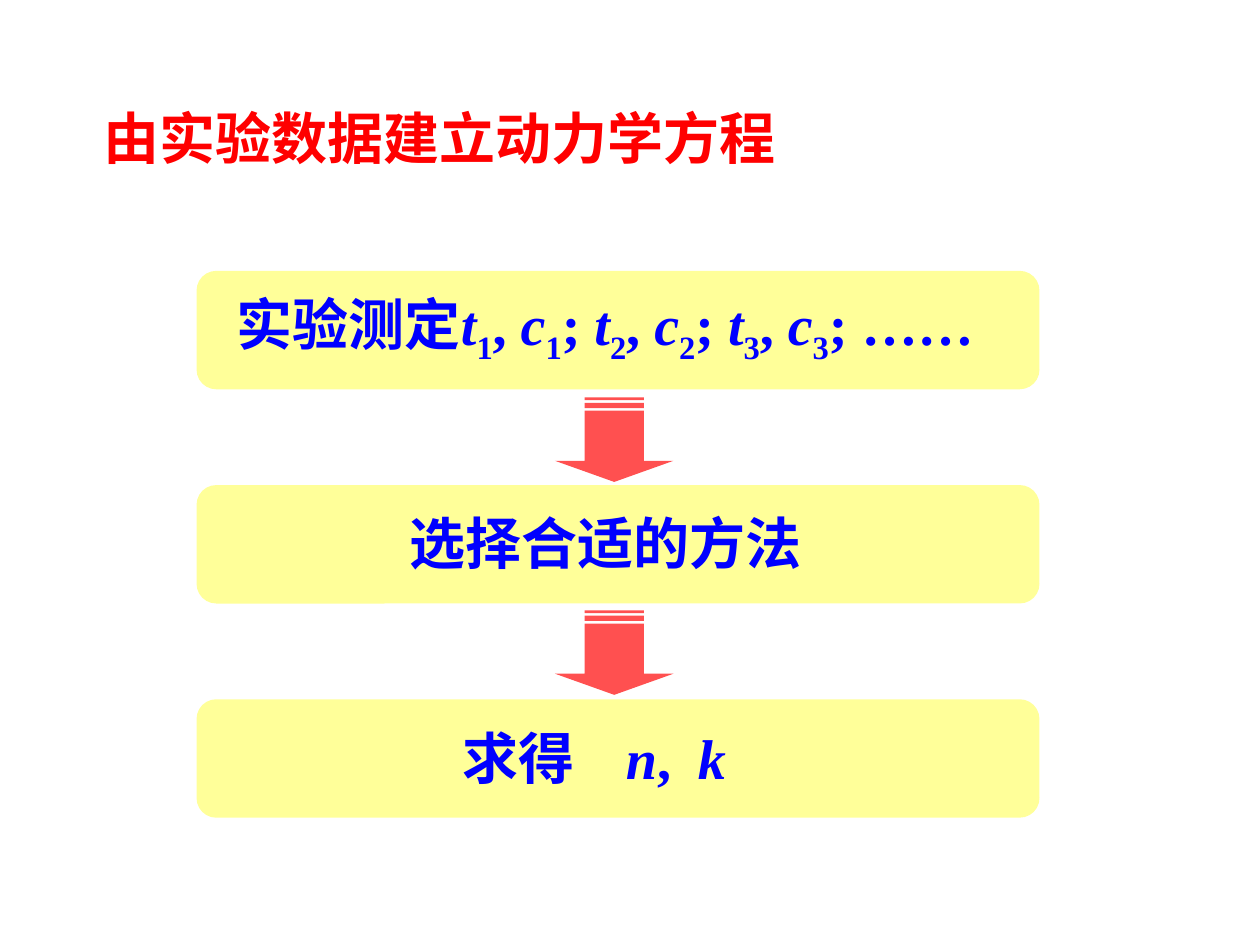
"""Build a three-step flow slide on deriving a kinetic equation from data."""
from lxml import etree
from pptx import Presentation
from pptx.dml.color import RGBColor
from pptx.enum.shapes import MSO_SHAPE
from pptx.enum.text import MSO_ANCHOR, MSO_AUTO_SIZE, PP_ALIGN
from pptx.oxml.ns import qn
from pptx.util import Inches, Pt

ROUNDED = MSO_SHAPE.ROUNDED_RECTANGLE
ARROW = MSO_SHAPE.STRIPED_RIGHT_ARROW
MIDDLE = MSO_ANCHOR.MIDDLE
GROW = MSO_AUTO_SIZE.SHAPE_TO_FIT_TEXT
JUSTIFY = PP_ALIGN.JUSTIFY

COLORS = {"title": "FF0000", "text": "0000FF", "step": "FFFF99", "arrow": "FF5050"}
LATIN, CHINESE = "Times New Roman", "Noto Sans CJK SC"

TITLE = "由实验数据建立动力学方程"
MEASURED = [("实验测定", "chinese")]
for index in "123":
    MEASURED += [("t", "italic"), (index, "sub"), (", ", "plain"),
                 ("c", "italic"), (index, "sub"), ("; ", "plain")]
MEASURED.append(("……", "plain"))

STEPS = [
    {"left": 1.78, "width": 6.42, "wrap": True, "tabs": [], "spans": MEASURED},
    {"left": 3.15, "width": 3.34, "wrap": False, "tabs": [],
     "spans": [("选择合适的方法", "chinese")]},
    {"left": 3.57, "width": 3.06, "wrap": True, "tabs": [1.3, 1.87],
     "spans": [("求得\t", "chinese"), ("n", "italic"), (",\t", "plain"), ("k", "italic")]},
]

STEP_LEFT, STEP_TOP, STEP_WIDTH, STEP_HEIGHT = 1.56, 2.15, 6.69, 0.94
STEP_PITCH = 1.7
TEXT_INSET, TEXT_HEIGHT = 0.14, 0.63
ARROW_LEFT, ARROW_TOP, ARROW_LENGTH, ARROW_SPAN = 4.54, 3.02, 0.67, 0.94
ARROW_PITCH = 1.69


def place(shape, left, top, width, height):
    bounds = {"left": left, "top": top, "width": width, "height": height}
    for name, value in bounds.items():
        setattr(shape, name, Inches(value))


def add_filled(slide, kind, bounds, color):
    shape = slide.shapes.add_shape(kind, *map(Inches, bounds))
    shape.shadow.inherit = False
    shape.fill.solid()
    shape.fill.fore_color.rgb = RGBColor.from_string(COLORS[color])
    shape.line.fill.background()
    return shape


def write(box, spans, color, wrap, tabs=()):
    frame = box.text_frame
    for name, value in {"word_wrap": wrap, "auto_size": GROW, "vertical_anchor": MIDDLE}.items():
        setattr(frame, name, value)
    para = frame.paragraphs[0]
    para.alignment = JUSTIFY
    if tabs:
        stops = etree.SubElement(para._p.get_or_add_pPr(), qn("a:tabLst"))
        for stop in tabs:
            etree.SubElement(stops, qn("a:tab"), pos=str(Inches(stop)), algn="l")
    for text, style in spans:
        span = para.add_run()
        span.text = text
        formats = {"size": Pt(32), "bold": True, "italic": style == "italic",
                   "name": CHINESE if style == "chinese" else LATIN}
        for name, value in formats.items():
            setattr(span.font, name, value)
        span.font.color.rgb = RGBColor.from_string(COLORS[color])
        properties = span._r.get_or_add_rPr()
        properties.find(qn("a:latin")).addnext(
            etree.Element(qn("a:ea"), typeface=CHINESE))
        if style == "sub":
            properties.set("baseline", "-25000")


def main():
    deck = Presentation()
    deck.slide_width, deck.slide_height = Inches(10), Inches(7.5)
    slide = deck.slides.add_slide(deck.slide_layouts[5])

    title = slide.shapes.title
    place(title, 0.72, 0.77, 5.57, 0.63)
    write(title, [(TITLE, "plain")], "title", False)

    for number, step in enumerate(STEPS):
        top = STEP_TOP + number * STEP_PITCH
        add_filled(slide, ROUNDED, (STEP_LEFT, top, STEP_WIDTH, STEP_HEIGHT), "step")
        bounds = (step["left"], top + TEXT_INSET, step["width"], TEXT_HEIGHT)
        box = slide.shapes.add_textbox(*map(Inches, bounds))
        write(box, step["spans"], "text", step["wrap"], step["tabs"])
        if number:
            arrow_top = ARROW_TOP + (number - 1) * ARROW_PITCH
            arrow = add_filled(
                slide, ARROW, (ARROW_LEFT, arrow_top, ARROW_LENGTH, ARROW_SPAN), "arrow")
            arrow.rotation = 90
            arrow.adjustments[0], arrow.adjustments[1] = 0.5, 0.25

    deck.save("out.pptx")


if __name__ == "__main__":
    main()
